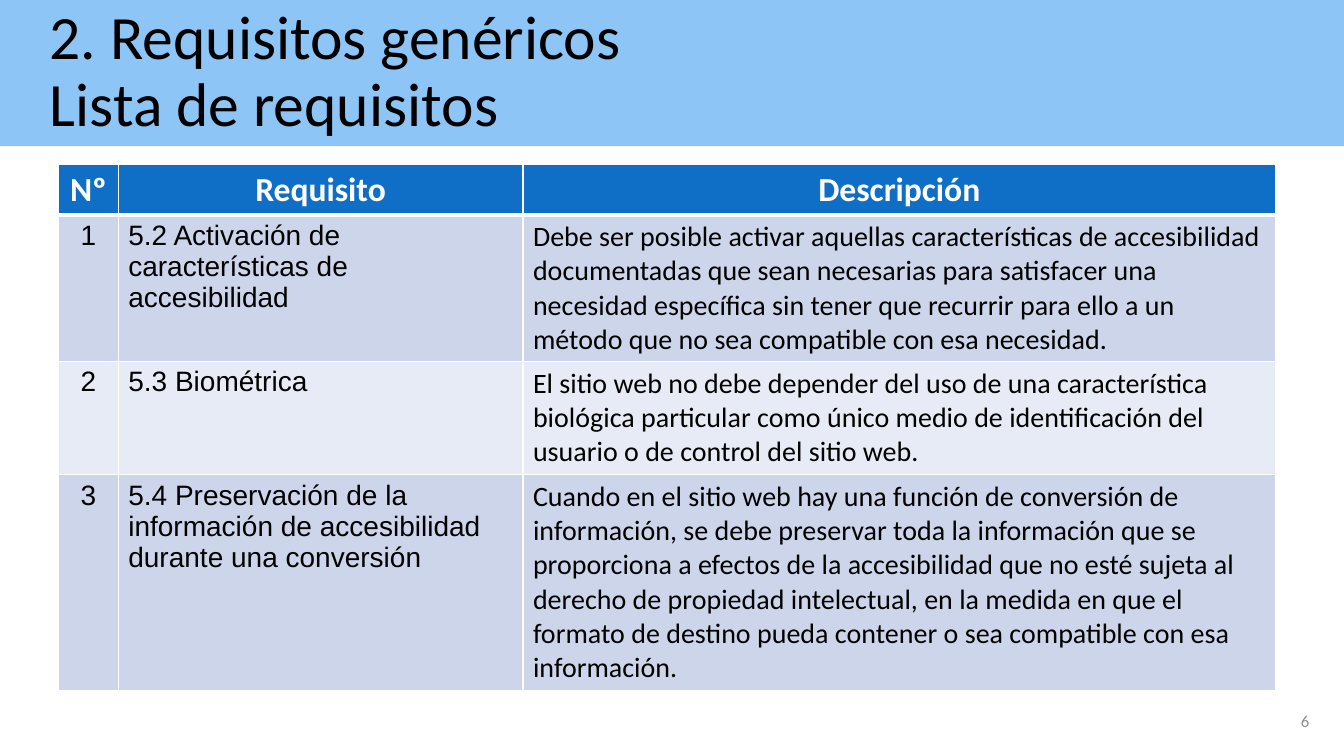
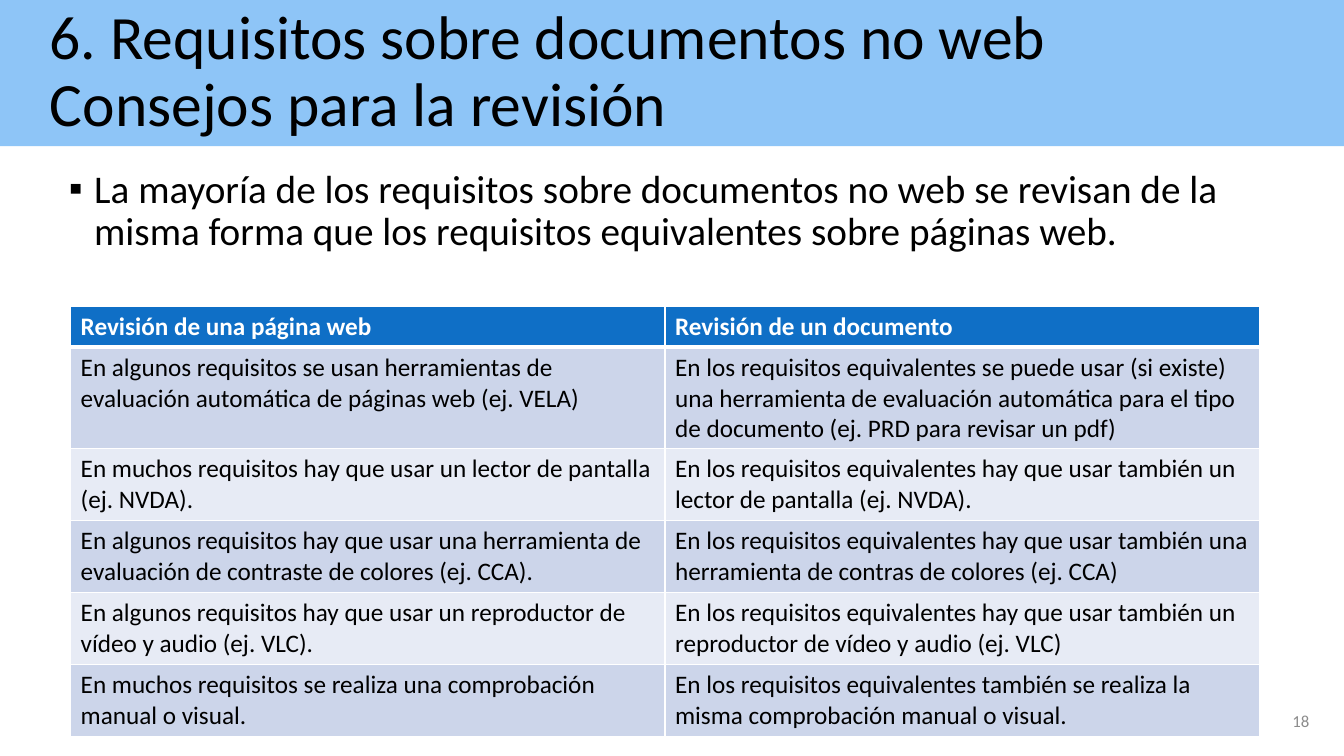
import pptx
import pptx.dml.color
import pptx.enum.text
import pptx.oxml.ns
import pptx.util
from lxml import etree

Cm = pptx.util.Cm
Pt = pptx.util.Pt
RGBColor = pptx.dml.color.RGBColor
PP_ALIGN = pptx.enum.text.PP_ALIGN
MSO_ANCHOR = pptx.enum.text.MSO_ANCHOR
qn = pptx.oxml.ns.qn

BLACK = RGBColor(0x00, 0x00, 0x00)
WHITE = RGBColor(0xFF, 0xFF, 0xFF)
GREY = RGBColor(0x8C, 0x8C, 0x8C)
BAND_BLUE = RGBColor(0x8E, 0xC5, 0xF7)
HEADER_BLUE = RGBColor(0x0F, 0x6F, 0xC6)
ROW_FILLS = (RGBColor(0xCC, 0xD5, 0xEA), RGBColor(0xE7, 0xEB, 0xF5))

SLIDE_WIDTH, SLIDE_HEIGHT = Cm(33.87), Cm(19.05)
CONTENT_LEFT, CONTENT_TOP = Cm(1.48), Cm(4.14)
TITLE_ONLY, TITLE_AND_CONTENT = 5, 1
THIN, THICK = Pt(1), Pt(3)

REQUIREMENTS = [
    ("Nº", "Requisito", "Descripción"),
    ("1", "5.2 Activación de características de accesibilidad",
     "Debe ser posible activar aquellas características de accesibilidad "
     "documentadas que sean necesarias para satisfacer una necesidad específica "
     "sin tener que recurrir para ello a un método que no sea compatible con esa "
     "necesidad."),
    ("2", "5.3 Biométrica",
     "El sitio web no debe depender del uso de una característica biológica "
     "particular como único medio de identificación del usuario o de control del "
     "sitio web."),
    ("3", "5.4 Preservación de la información de accesibilidad durante una conversión",
     "Cuando en el sitio web hay una función de conversión de información, se debe "
     "preservar toda la información que se proporciona a efectos de la "
     "accesibilidad que no esté sujeta al derecho de propiedad intelectual, en la "
     "medida en que el formato de destino pueda contener o sea compatible con esa "
     "información."),
]

REVIEWS = [
    ("Revisión de una página web", "Revisión de un documento"),
    ("En algunos requisitos se usan herramientas de evaluación automática de "
     "páginas web (ej. VELA)",
     "En los requisitos equivalentes se puede usar (si existe) una herramienta de "
     "evaluación automática para el tipo de documento (ej. PRD para revisar un pdf)"),
    ("En muchos requisitos hay que usar un lector de pantalla (ej. NVDA).",
     "En los requisitos equivalentes hay que usar también un lector de pantalla "
     "(ej. NVDA)."),
    ("En algunos requisitos hay que usar una herramienta de evaluación de contraste "
     "de colores (ej. CCA).",
     "En los requisitos equivalentes hay que usar también una herramienta de "
     "contras de colores (ej. CCA)"),
    ("En algunos requisitos hay que usar un reproductor de vídeo y audio (ej. VLC).",
     "En los requisitos equivalentes hay que usar también un reproductor de vídeo y "
     "audio (ej. VLC)"),
    ("En muchos requisitos se realiza una comprobación manual o visual.",
     "En los requisitos equivalentes también se realiza la misma comprobación "
     "manual o visual."),
]


def write_text(frame, text, *, size, color=BLACK, font="Calibri", bold=False,
               align=PP_ALIGN.LEFT, anchor=MSO_ANCHOR.TOP, line_spacing=None,
               left_margin=0, indent=0, bullet=None):
    """Fill a text frame with one formatted paragraph; \\v breaks a line."""
    frame.word_wrap = True
    frame.vertical_anchor = anchor
    paragraph = frame.paragraphs[0]
    paragraph.text = text
    paragraph.alignment = align
    paragraph.space_before = Pt(0)
    if line_spacing:
        paragraph.line_spacing = line_spacing
    properties = paragraph._p.get_or_add_pPr()
    properties.set("marL", str(left_margin))
    properties.set("indent", str(indent))
    if bullet:
        etree.SubElement(properties, qn("a:buFont"), typeface="Arial")
        etree.SubElement(properties, qn("a:buChar"), char=bullet)
    for run in paragraph.runs:
        run.font.size = Pt(size)
        run.font.name = font
        run.font.bold = bold
        run.font.color.rgb = color


def place(shape, left, top, width, height):
    shape.left, shape.top, shape.width, shape.height = left, top, width, height


def add_slide(deck, layout, title, number):
    """Add a slide with the title band and its page number."""
    slide = deck.slides.add_slide(deck.slide_layouts[layout])
    band = slide.shapes.title
    place(band, 0, 0, SLIDE_WIDTH, Cm(3.68))
    band.fill.solid()
    band.fill.fore_color.rgb = BAND_BLUE
    write_text(band.text_frame, title, size=44, anchor=MSO_ANCHOR.MIDDLE,
               line_spacing=0.9, left_margin=Cm(1))
    band.text_frame.auto_size = pptx.enum.text.MSO_AUTO_SIZE.NONE

    page_number = slide.shapes.add_textbox(Cm(25.63), Cm(17.65), Cm(7.62), Cm(1.02))
    write_text(page_number.text_frame, number, size=12, color=GREY,
               align=PP_ALIGN.RIGHT, anchor=MSO_ANCHOR.MIDDLE)
    return slide


def add_bullet(slide, text):
    body = slide.placeholders[1]
    place(body, CONTENT_LEFT, CONTENT_TOP, Cm(30.63), Cm(13.06))
    write_text(body.text_frame, text, size=28, line_spacing=0.9,
               left_margin=Cm(0.64), indent=-Cm(0.64), bullet="▪")
    body.text_frame.auto_size = pptx.enum.text.MSO_AUTO_SIZE.NONE


def draw_borders(cell, top, bottom):
    properties = cell._tc.get_or_add_tcPr()
    widths = {"a:lnL": THIN, "a:lnR": THIN, "a:lnT": top, "a:lnB": bottom}
    for side, width in widths.items():
        line = etree.SubElement(properties, qn(side), w=str(width))
        fill = etree.SubElement(line, qn("a:solidFill"))
        etree.SubElement(fill, qn("a:srgbClr"), val=str(WHITE))


def add_banded_table(slide, rows, left, top, widths, heights, header_format,
                     column_formats):
    """Add a table with a blue header; column_formats style the body columns."""
    table = slide.shapes.add_table(len(rows), len(widths), left, top,
                                   sum(widths), sum(heights)).table
    for column, width in zip(table.columns, widths):
        column.width = width
    for index, (row, texts, height) in enumerate(zip(table.rows, rows, heights)):
        row.height = height
        is_header = index == 0
        for cell, text, column_format in zip(row.cells, texts, column_formats):
            draw_borders(cell, top=THICK if index == 1 else THIN,
                         bottom=THICK if is_header else THIN)
            cell.fill.solid()
            cell.fill.fore_color.rgb = (
                HEADER_BLUE if is_header else ROW_FILLS[(index - 1) % 2])
            if is_header:
                write_text(cell.text_frame, text, color=WHITE, bold=True,
                           **header_format)
            else:
                write_text(cell.text_frame, text, **column_format)


def add_requirements_slide(deck):
    slide = add_slide(deck, TITLE_ONLY,
                      "2. Requisitos genéricos\vLista de requisitos", "6")
    add_banded_table(
        slide, REQUIREMENTS, CONTENT_LEFT, CONTENT_TOP,
        widths=[Cm(1.5), Cm(10.2), Cm(18.97)],
        heights=[Cm(1.27), Cm(3.7), Cm(2.85), Cm(5.44)],
        header_format={"size": 24, "align": PP_ALIGN.CENTER},
        column_formats=[
            {"size": 20, "font": "Arial", "align": PP_ALIGN.CENTER},
            {"size": 20, "font": "Arial"},
            {"size": 20},
        ])


def add_review_slide(deck):
    slide = add_slide(
        deck, TITLE_AND_CONTENT,
        "6. Requisitos sobre documentos no web\vConsejos para la revisión", "18")
    add_bullet(slide, "La mayoría de los requisitos sobre documentos no web se "
                      "revisan de la misma forma que los requisitos equivalentes "
                      "sobre páginas web.")
    add_banded_table(
        slide, REVIEWS, Cm(1.78), Cm(7.72),
        widths=[Cm(14.98)] * 2,
        heights=[Cm(1.03), Cm(2.56)] + [Cm(1.81)] * 4,
        header_format={"size": 18},
        column_formats=[{"size": 18}] * 2)


def main():
    deck = pptx.Presentation()
    deck.slide_width, deck.slide_height = SLIDE_WIDTH, SLIDE_HEIGHT
    add_requirements_slide(deck)
    add_review_slide(deck)
    deck.save("out.pptx")


if __name__ == "__main__":
    main()
